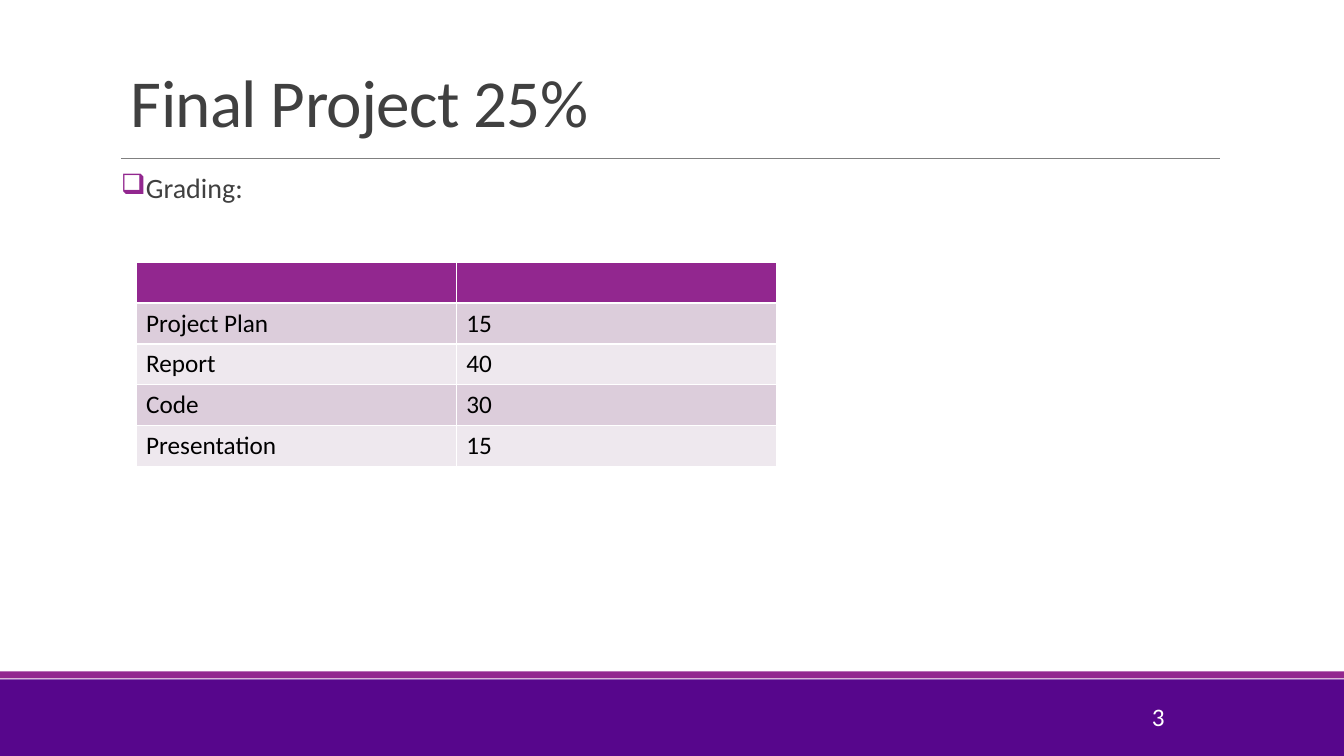
from lxml import etree
from pptx import Presentation
from pptx.dml.color import RGBColor
from pptx.enum.shapes import MSO_CONNECTOR, MSO_SHAPE
from pptx.enum.text import MSO_ANCHOR, PP_ALIGN
from pptx.oxml.ns import qn
from pptx.util import Inches, Pt

RECTANGLE = MSO_SHAPE.RECTANGLE
STRAIGHT = MSO_CONNECTOR.STRAIGHT
TOP, MIDDLE, BOTTOM = MSO_ANCHOR.TOP, MSO_ANCHOR.MIDDLE, MSO_ANCHOR.BOTTOM
RIGHT = PP_ALIGN.RIGHT

WIDTH, HEIGHT = 13.33, 7.5
MARGIN = 1.2
CONTENT_WIDTH = 11
PURPLE, MAGENTA, WHITE, GREY = "57068C", "92278F", "FFFFFF", "404040"


def color(hex_string):
    return RGBColor.from_string(hex_string)


def add_text(text, box, size, hex_string, anchor):
    frame = slide.shapes.add_textbox(*map(Inches, box)).text_frame
    frame.word_wrap = True
    frame.vertical_anchor = anchor
    paragraph = frame.paragraphs[0]
    paragraph.text = text
    paragraph.font.name = "Calibri"
    paragraph.font.size = Pt(size)
    paragraph.font.color.rgb = color(hex_string)
    return frame, paragraph


prs = Presentation()
prs.slide_width, prs.slide_height = Inches(WIDTH), Inches(HEIGHT)
slide = prs.slides.add_slide(prs.slide_layouts[6])

# Footer bands
for top, height, fill in [(6.74, 0.76, PURPLE), (6.66, 0.07, MAGENTA)]:
    band = slide.shapes.add_shape(
        RECTANGLE, 0, Inches(top), prs.slide_width, Inches(height))
    band.shadow.inherit = False
    band.fill.solid()
    band.fill.fore_color.rgb = color(fill)
    band.line.fill.background()

# Rule under the title
rule = slide.shapes.add_connector(
    STRAIGHT, Inches(MARGIN), Inches(1.57), Inches(12.1), Inches(1.57))
rule.line.color.rgb = color("808080")
rule.line.width = Pt(0.5)
etree.SubElement(rule._element.spPr, qn("a:effectLst"))

# Title
_, title = add_text("Final Project 25%", (MARGIN, 0.31, CONTENT_WIDTH, 1.14),
                    48, GREY, BOTTOM)
title.line_spacing = 0.85
title.runs[0]._r.get_or_add_rPr().set("spc", "-50")

# Grading bullet
grading_frame, grading = add_text(
    "Grading:", (MARGIN, 1.68, CONTENT_WIDTH, 4.74), 20, GREY, TOP)
grading_frame.margin_left = grading_frame.margin_right = 0
grading.line_spacing = 0.9
grading.space_before, grading.space_after = Pt(12), Pt(2)
bullet = grading._p.get_or_add_pPr()
bullet.set("marL", str(Inches(0.1)))
bullet.set("indent", str(Inches(-0.1)))
bullet_color = etree.Element(qn("a:buClr"))
etree.SubElement(bullet_color, qn("a:srgbClr"), val=MAGENTA)
bullet_char = etree.Element(qn("a:buChar"), char="❑")
font_defaults = bullet.find(qn("a:defRPr"))
font_defaults.addprevious(bullet_color)
font_defaults.addprevious(bullet_char)

# Slide number
_, number = add_text("3", (10.22, 6.91, 1.43, 0.4), 18, WHITE, MIDDLE)
number.alignment = RIGHT

# Grading table: the default style gives the white borders
grades = [("", ""), ("Project Plan", "15"), ("Report", "40"),
          ("Code", "30"), ("Presentation", "15")]
row_height, column_width = 0.406, 3.175
table = slide.shapes.add_table(
    len(grades), 2, Inches(1.35), Inches(2.6),
    Inches(2 * column_width), Inches(len(grades) * row_height)).table
for row, grade in enumerate(grades):
    fill = MAGENTA if row == 0 else ("EEE8EE", "DCCDDB")[row % 2]
    for column, text in enumerate(grade):
        cell = table.cell(row, column)
        cell.fill.solid()
        cell.fill.fore_color.rgb = color(fill)
        entry = cell.text_frame.paragraphs[0]
        entry.text = text
        entry.font.name = "Calibri"
        entry.font.size = Pt(18)
        entry.font.color.rgb = color("000000")

prs.save("out.pptx")
